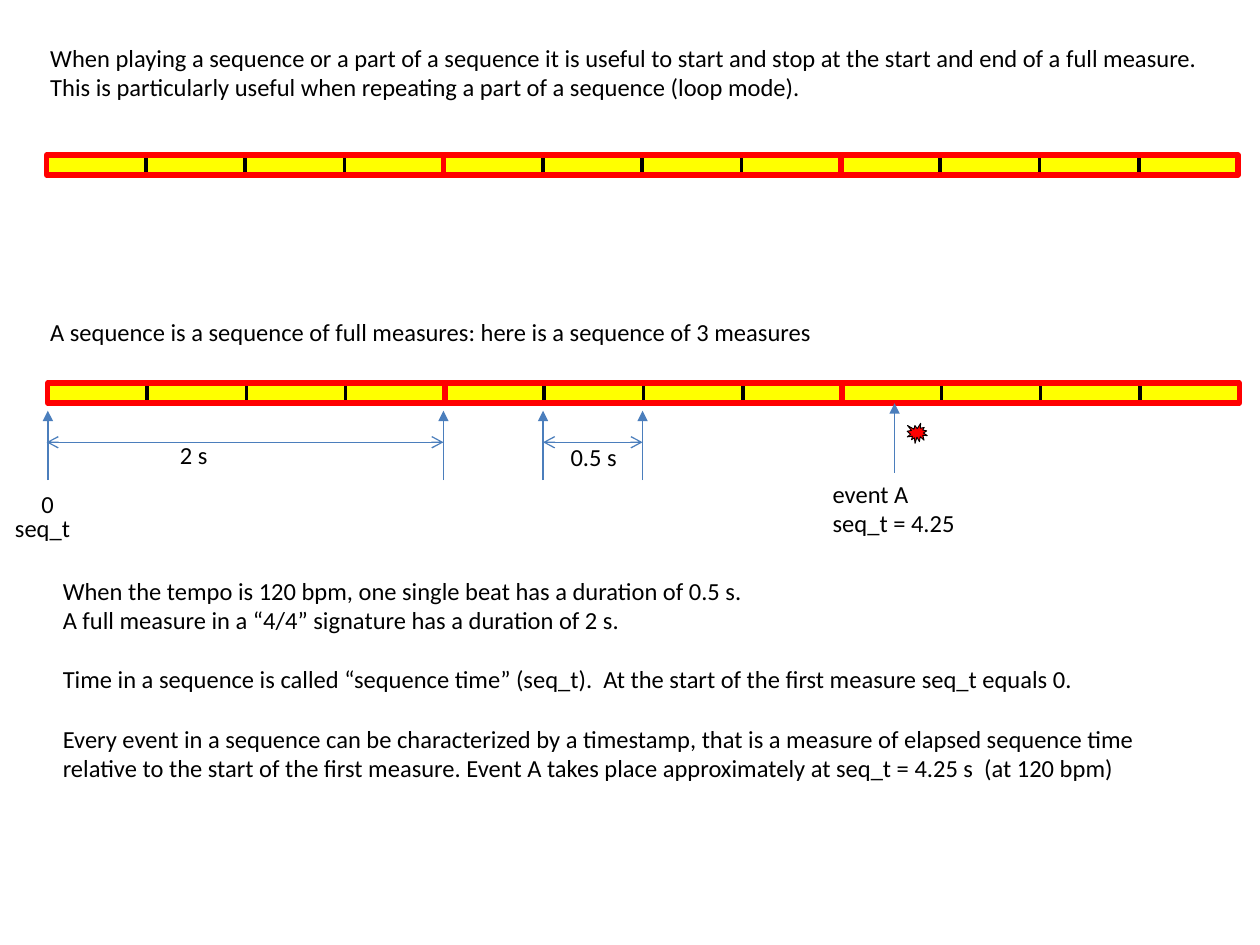
from lxml import etree
from pptx import Presentation
from pptx.dml.color import RGBColor
from pptx.enum.shapes import MSO_CONNECTOR, MSO_SHAPE
from pptx.enum.text import MSO_AUTO_SIZE
from pptx.oxml.ns import qn
from pptx.util import Inches, Pt

BEAT, BEATS_PER_MEASURE, MEASURES = 0.788, 4, 3
MEASURE = BEAT * BEATS_PER_MEASURE
BAR_HEIGHT = 0.16
BLACK, RED, YELLOW, BLUE = "000000", "FF0000", "FFFF00", "4B7EBC"

prs = Presentation()
prs.slide_width, prs.slide_height = Inches(10), Inches(7.5)
slide = prs.slides.add_slide(prs.slide_layouts[6])


def color(hex_value):
    return RGBColor.from_string(hex_value)


def add_block(kind, left, top, width, height, fill, line, weight):
    block = slide.shapes.add_shape(
        kind, Inches(left), Inches(top), Inches(width), Inches(height))
    block.shadow.inherit = False
    if fill:
        block.fill.solid()
        block.fill.fore_color.rgb = color(fill)
    else:
        block.fill.background()
    block.line.color.rgb = color(line)
    block.line.width = Pt(weight)


# Sequences: yellow beats, each measure framed in red
for bar_left, bar_top in [(0.38, 3.04), (0.37, 1.23)]:
    for measure in range(MEASURES):
        measure_left = bar_left + measure * MEASURE
        for beat in range(BEATS_PER_MEASURE):
            add_block(MSO_SHAPE.RECTANGLE, measure_left + beat * BEAT, bar_top,
                      BEAT, BAR_HEIGHT, YELLOW, BLACK, 2)
        add_block(MSO_SHAPE.RECTANGLE, measure_left, bar_top,
                  MEASURE, BAR_HEIGHT, None, RED, 3)

# Time markers pointing up, and duration spans with two heads
marker_ends = {"tailEnd": "triangle"}
span_ends = {"headEnd": "arrow", "tailEnd": "arrow"}
arrows = [(x, 3.81, x, 3.26, marker_ends) for x in (0.38, 3.52, 4.31, 5.1)]
arrows += [
    (7.1, 3.75, 7.1, 3.2, marker_ends),
    (0.37, 3.51, 3.52, 3.51, span_ends),
    (4.31, 3.51, 5.1, 3.51, span_ends),
]
for x1, y1, x2, y2, ends in arrows:
    arrow = slide.shapes.add_connector(
        MSO_CONNECTOR.STRAIGHT, Inches(x1), Inches(y1), Inches(x2), Inches(y2))
    arrow.line.color.rgb = color(BLUE)
    arrow.line.width = Pt(0.75)
    for end, head in ends.items():
        etree.SubElement(arrow.line._get_or_add_ln(), qn(f"a:{end}"), type=head)
    etree.SubElement(arrow._element.spPr, qn("a:effectLst"))

# Event A
add_block(MSO_SHAPE.EXPLOSION1, 7.2, 3.36, 0.16, 0.16, RED, BLACK, 0.5)

# Texts: place, wrapping, and paragraphs with the space before each
tight = {"space_before": Pt(0)}
spaced = {"space_before": Pt(17)}
texts = [
    (0.3, 0.29, 9.39, 0.57, False, [
        ("When playing a sequence or a part of a sequence it is useful to start "
         "and stop at the start and end of a full measure.", tight),
        ("This is particularly useful when repeating a part of a sequence "
         "(loop mode).", tight)]),
    (0.3, 2.47, 6.3, 0.34, False, [
        ("A sequence is a sequence of full measures: here is a sequence of "
         "3 measures", tight)]),
    (0.23, 3.83, 0.3, 0.34, False, [("0", tight)]),
    (0.02, 4.02, 0.65, 0.34, False, [("seq_t", tight)]),
    (1.33, 3.44, 0.42, 0.34, False, [("2 s", tight)]),
    (4.43, 3.46, 0.57, 0.34, False, [("0.5 s", tight)]),
    (6.51, 3.75, 1.18, 0.57, False, [
        ("event A", tight), ("seq_t = 4.25", tight)]),
    (0.4, 4.52, 8.74, 1.99, True, [
        ("When the tempo is 120 bpm, one single beat has a duration of 0.5 s.",
         tight),
        ("A full measure in a “4/4” signature has a duration of 2 s.", tight),
        ("Time in a sequence is called “sequence time” (seq_t).  At the start "
         "of the first measure seq_t equals 0.", spaced),
        ("Every event in a sequence can be characterized by a timestamp, that "
         "is a measure of elapsed sequence time relative to the start of the "
         "first measure. Event A takes place approximately at seq_t = 4.25 s  "
         "(at 120 bpm)", spaced)]),
]
font_format = {"name": "Calibri", "size": Pt(14)}
for left, top, width, height, wraps, paragraphs in texts:
    frame = slide.shapes.add_textbox(
        Inches(left), Inches(top), Inches(width), Inches(height)).text_frame
    frame.word_wrap = wraps
    frame.auto_size = (MSO_AUTO_SIZE.NONE if wraps
                       else MSO_AUTO_SIZE.SHAPE_TO_FIT_TEXT)
    for index, (wording, spacing) in enumerate(paragraphs):
        paragraph = frame.add_paragraph() if index else frame.paragraphs[0]
        for name, value in spacing.items():
            setattr(paragraph, name, value)
        run = paragraph.add_run()
        run.text = wording
        for name, value in font_format.items():
            setattr(run.font, name, value)
        run.font.color.rgb = color(BLACK)

prs.save("out.pptx")
